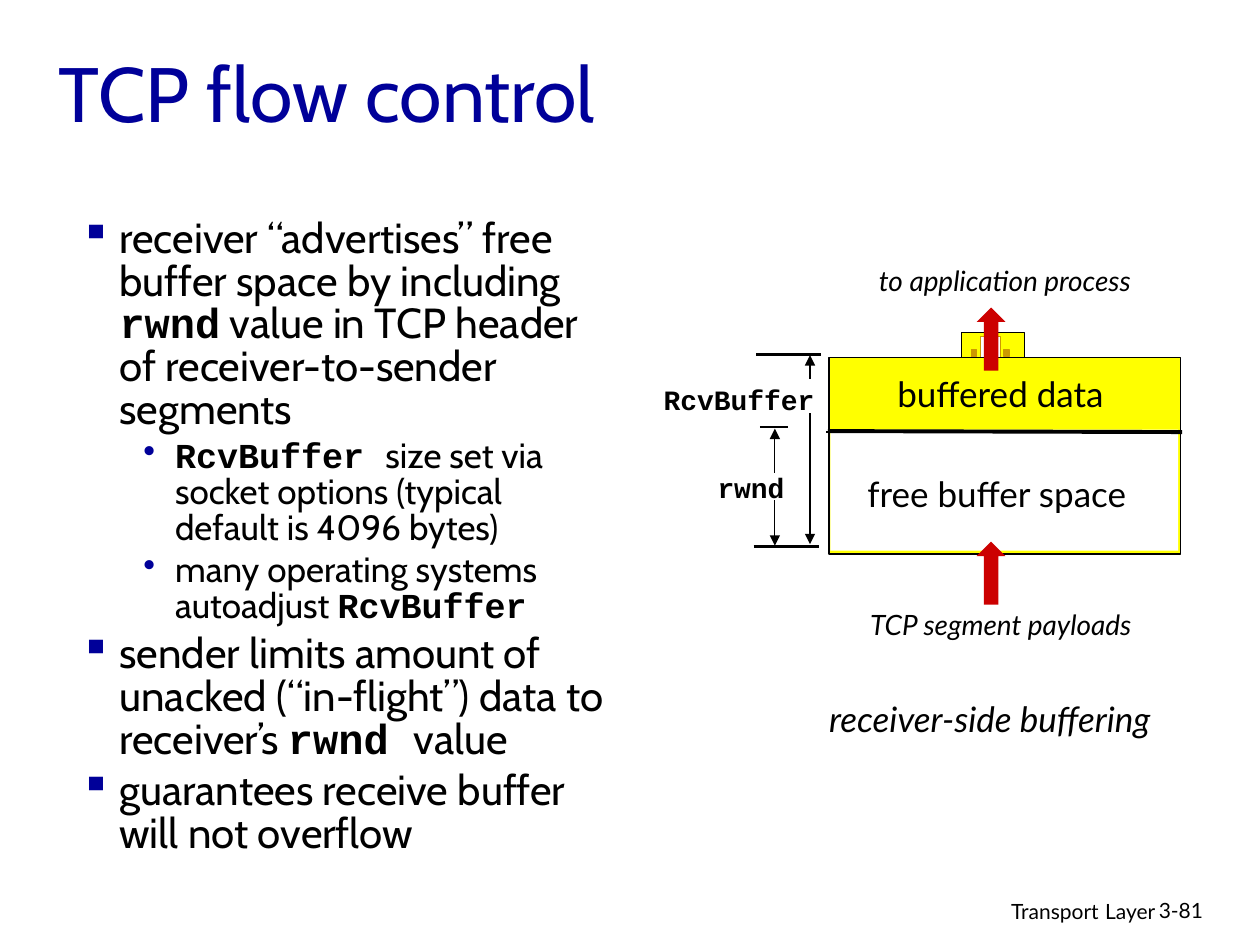
from dataclasses import dataclass

from lxml import etree
from pptx import Presentation
from pptx import util as u
from pptx.dml.color import RGBColor
from pptx.enum import shapes, text
from pptx.oxml.ns import qn


@dataclass(frozen=True)
class Theme:
    ink: RGBColor = RGBColor(0, 0, 0)
    navy: RGBColor = RGBColor(0x00, 0x00, 0x99)
    yellow: RGBColor = RGBColor(0xFF, 0xFF, 0x00)
    white: RGBColor = RGBColor(0xFF, 0xFF, 0xFF)
    ochre: RGBColor = RGBColor(0xCC, 0x99, 0x00)
    red: RGBColor = RGBColor(0xCC, 0x00, 0x00)
    prose: str = "Cabin"
    label: str = "Lato"
    code: str = "Courier New"
    title: int = 44
    bullet: int = 24
    big: int = 20
    small: int = 16
    footer: int = 12
    footer_gap: int = 14
    thin: float = 0.75
    medium: float = 1.5
    thick: float = 2.25


theme = Theme()
LEFT, CENTER, RIGHT = text.PP_ALIGN.LEFT, text.PP_ALIGN.CENTER, text.PP_ALIGN.RIGHT

deck = Presentation()
deck.slide_width, deck.slide_height = u.Cm(25.4), u.Cm(19.05)
page = deck.slides.add_slide(deck.slide_layouts[6])


def add_text(place, words, size, font, align=LEFT, color=theme.ink, bold=False, italic=False):
    """Add a wrapped one-paragraph text box and return its frame."""
    frame = page.shapes.add_textbox(*map(u.Cm, place)).text_frame
    frame.word_wrap = True
    para = frame.paragraphs[0]
    para.alignment = align
    para.font.size, para.font.name = u.Pt(size), font
    para.font.color.rgb = color
    para.font.bold, para.font.italic = bold, italic
    for word in words:
        para.add_run().text = word
    return frame


def add_line(start, stop, width, arrow=None):
    """Draw a black line; arrow is None, "headEnd" (start) or "tailEnd" (stop)."""
    line = page.shapes.add_connector(shapes.MSO_CONNECTOR.STRAIGHT, *map(u.Cm, (*start, *stop)))
    line.line.color.rgb = theme.ink
    line.line.width = u.Pt(width)
    if arrow:
        etree.SubElement(line.line._get_or_add_ln(), qn(f"a:{arrow}"), type="triangle")
    etree.SubElement(line._element.spPr, qn("a:effectLst"))


# Footer and title
footer = add_text((15.49, 17.91, 8.05, 0.79), ["Transport", " ", "Layer"],
                  theme.footer, theme.label, RIGHT)
footer.paragraphs[0].runs[1].font.size = u.Pt(theme.footer_gap)
add_text((23.11, 17.96, 1.88, 0.76), ["3-81"], theme.footer, theme.label)
title = add_text((0.94, 0.48, 21.59, 2.72), ["TCP flow control"],
                 theme.title, theme.prose, color=theme.navy)
title.vertical_anchor = text.MSO_ANCHOR.MIDDLE

# Receive buffer, with the process above it and the arrows through it
RECT, UP = shapes.MSO_SHAPE.RECTANGLE, shapes.MSO_SHAPE.UP_ARROW
for kind, place, fill, outline in [
    (RECT, (19.38, 6.71, 1.27, 0.58), theme.yellow, theme.ink),
    (RECT, (19.76, 6.78, 0.41, 0.43), theme.white, theme.ochre),
    (RECT, (20.24, 7.04, 0.1, 0.15), theme.ochre, theme.ochre),
    (RECT, (19.58, 7.04, 0.1, 0.15), theme.ochre, theme.ochre),
    (RECT, (16.71, 7.21, 7.09, 3.96), theme.yellow, theme.ink),
    (UP, (19.69, 6.2, 0.58, 1.27), theme.red, None),
    (RECT, (16.74, 8.66, 7.01, 2.44), theme.white, None),
    (UP, (19.69, 10.92, 0.58, 1.27), theme.red, None),
]:
    shape = page.shapes.add_shape(kind, *map(u.Cm, place))
    shape.shadow.inherit = False
    shape.fill.solid()
    shape.fill.fore_color.rgb = fill
    if outline is None:
        shape.line.fill.background()
    else:
        shape.line.color.rgb = outline
        shape.line.width = u.Pt(theme.thin)
add_line((16.66, 8.71), (23.8, 8.71), theme.thin)
add_line((16.69, 8.69), (23.83, 8.71), theme.thick)

# Dimension marks for rwnd and RcvBuffer
rwnd_x, buffer_x = 15.62, 16.33
for left, right, y in [(15.24, 16.56, 7.14), (15.32, 15.88, 8.61), (15.19, 16.51, 11.02)]:
    add_line((left, y), (right, y), theme.medium)
for x, top, bottom, arrow in [
    (rwnd_x, 8.64, 9.53, "headEnd"),
    (rwnd_x, 10.08, 11.0, "tailEnd"),
    (buffer_x, 7.16, 7.65, "headEnd"),
    (buffer_x, 8.33, 10.97, "tailEnd"),
]:
    add_line((x, top), (x, bottom), theme.thin, arrow)

# Diagram labels
add_text((14.15, 9.37, 1.98, 0.94), ["rwnd"], theme.small, theme.code, CENTER, bold=True)
add_text((13, 7.59, 3.67, 0.94), ["RcvBuffer"], theme.small, theme.code, RIGHT, bold=True)
for place, words, size, italic in [
    ((17.81, 7.39, 4.72, 1.09), "buffered data", theme.big, False),
    ((17.2, 9.4, 5.79, 1.09), "free buffer space", theme.big, False),
    ((17.09, 12.12, 6.17, 0.94), "TCP segment payloads", theme.small, True),
    ((17.3, 5.18, 5.92, 0.94), "to application process", theme.small, True),
    ((16.21, 13.94, 7.49, 1.09), "receiver-side buffering", theme.big, True),
]:
    add_text(place, [words], size, theme.label, CENTER, italic=italic)

# Bullets: level and wording, with code between backticks
bullets = [
    (0, "receiver “advertises” free buffer space by including `rwnd` value in TCP header "
        "of receiver-to-sender segments"),
    (1, "`RcvBuffer `size set via socket options (typical default is 4096 bytes)"),
    (1, "many operating systems autoadjust `RcvBuffer`"),
    (0, "sender limits amount of unacked (“in-flight”) data to receiver’s `rwnd `value"),
    (0, "guarantees receive buffer will not overflow"),
]
# mark, text size, left margin, hanging indent, space before
levels = [("▪", theme.bullet, 0.79, 0.79, 4.8), ("•", theme.big, 1.91, 0.64, 4)]
body = page.shapes.add_textbox(*map(u.Cm, (1.37, 4.29, 11.25, 13.64))).text_frame
body.word_wrap = True
for number, (level, words) in enumerate(bullets):
    mark, size, margin, hang, space = levels[level]
    para = body.add_paragraph() if number else body.paragraphs[0]
    para.level = level
    properties = para._p.get_or_add_pPr()
    properties.set("marL", str(u.Cm(margin)))
    properties.set("indent", str(-u.Cm(hang)))
    tint = etree.SubElement(properties, qn("a:buClr"))
    etree.SubElement(tint, qn("a:srgbClr"), val=str(theme.navy))
    etree.SubElement(properties, qn("a:buChar"), char=mark)
    para.line_spacing = 0.85
    if number:
        para.space_before = u.Pt(space)
    para.font.size, para.font.name = u.Pt(size), theme.prose
    para.font.color.rgb = theme.ink
    for part, words_part in enumerate(words.split("`")):
        if words_part:
            span = para.add_run()
            span.text = words_part
            if part % 2:
                span.font.name, span.font.bold = theme.code, True

deck.save("out.pptx")
